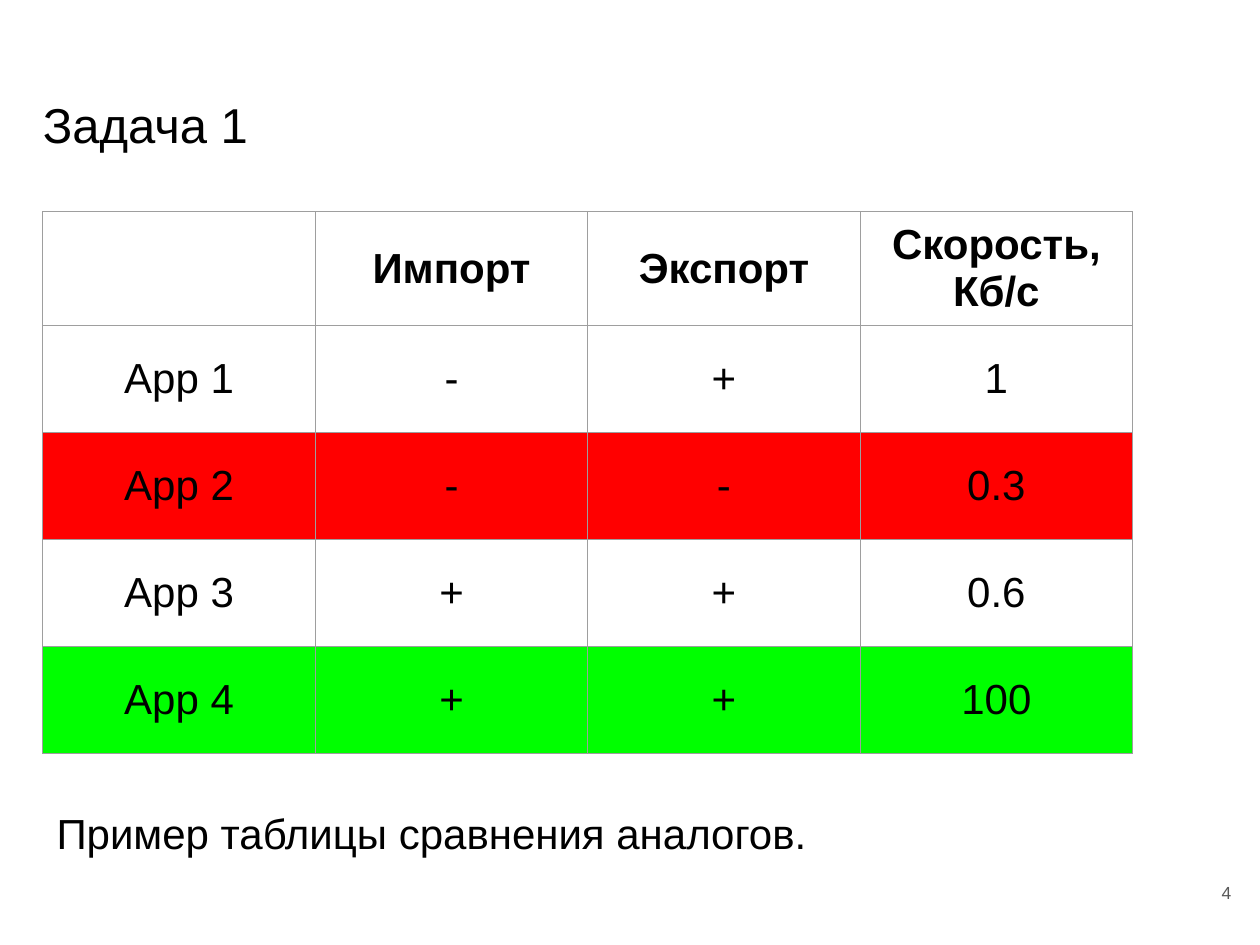
from lxml import etree
from pptx import Presentation
from pptx.dml.color import RGBColor
from pptx.enum.text import MSO_ANCHOR, PP_ALIGN
from pptx.oxml.ns import qn
from pptx.util import Inches, Pt

TOP, MIDDLE = MSO_ANCHOR.TOP, MSO_ANCHOR.MIDDLE
LEFT, CENTER, RIGHT = PP_ALIGN.LEFT, PP_ALIGN.CENTER, PP_ALIGN.RIGHT

FONT = "Arial"
BLACK = RGBColor(0x00, 0x00, 0x00)
GRAY = RGBColor(0x59, 0x59, 0x59)
BORDER = RGBColor(0x9E, 0x9E, 0x9E)
RED = RGBColor(0xFF, 0x00, 0x00)
GREEN = RGBColor(0x00, 0xFF, 0x00)

COMPARISON = [
    ["", "Импорт", "Экспорт", "Скорость, Кб/с"],
    ["App 1", "-", "+", "1"],
    ["App 2", "-", "-", "0.3"],
    ["App 3", "+", "+", "0.6"],
    ["App 4", "+", "+", "100"],
]
ROW_FILLS = {2: RED, 4: GREEN}


def write(frame, text, size, color=BLACK, bold=False, align=LEFT):
    frame.text = text
    paragraph = frame.paragraphs[0]
    paragraph.alignment = align
    for run in paragraph.runs:
        run.font.name = FONT
        run.font.size = Pt(size)
        run.font.bold = bold
        run.font.color.rgb = color


def set_frame(frame, side_inset, anchor):
    frame.word_wrap = True
    frame.vertical_anchor = anchor
    frame.margin_left = frame.margin_right = side_inset
    frame.margin_top = frame.margin_bottom = Inches(0.1)


def add_title(slide, text, left, top, width, height):
    title = slide.shapes.title
    title.left, title.top, title.width, title.height = left, top, width, height
    set_frame(title.text_frame, 0, TOP)
    write(title.text_frame, text, 28)


def add_label(slide, text, box, size, color=BLACK, align=LEFT, anchor=TOP):
    label = slide.shapes.add_textbox(*box)
    set_frame(label.text_frame, Inches(0.1), anchor)
    write(label.text_frame, text, size, color, align=align)


def set_borders(cell):
    properties = cell._tc.get_or_add_tcPr()
    for position, side in enumerate(("lnL", "lnR", "lnT", "lnB")):
        line = etree.Element(qn(f"a:{side}"), w=str(Pt(0.75)))
        fill = etree.SubElement(line, qn("a:solidFill"))
        etree.SubElement(fill, qn("a:srgbClr"), val=str(BORDER))
        properties.insert(position, line)


def add_comparison(slide, left, top, width, height):
    row_count, column_count = len(COMPARISON), len(COMPARISON[0])
    table = slide.shapes.add_table(
        row_count, column_count, left, top, width, height).table
    table.first_row = table.horz_banding = False
    for row_index, values in enumerate(COMPARISON):
        for column_index, value in enumerate(values):
            cell = table.cell(row_index, column_index)
            cell.vertical_anchor = MIDDLE
            write(cell.text_frame, value, 24, bold=row_index == 0, align=CENTER)
            if row_index in ROW_FILLS:
                cell.fill.solid()
                cell.fill.fore_color.rgb = ROW_FILLS[row_index]
            else:
                cell.fill.background()
            set_borders(cell)


def main():
    presentation = Presentation()
    presentation.slide_width = Inches(10)
    presentation.slide_height = Inches(7.5)
    slide = presentation.slides.add_slide(presentation.slide_layouts[5])

    add_title(slide, "Задача 1",
              Inches(0.34), Inches(0.65), Inches(9.32), Inches(0.83))
    add_label(slide, "4",
              (Inches(9.27), Inches(6.8), Inches(0.6), Inches(0.57)),
              10, GRAY, RIGHT, MIDDLE)
    add_comparison(slide, Inches(0.34), Inches(1.68), Inches(8.65), Inches(4.25))
    add_label(slide, "Пример таблицы сравнения аналогов.",
              (Inches(0.35), Inches(6.31), Inches(8.65), Inches(1.13)), 24)

    presentation.save("out.pptx")


if __name__ == "__main__":
    main()
